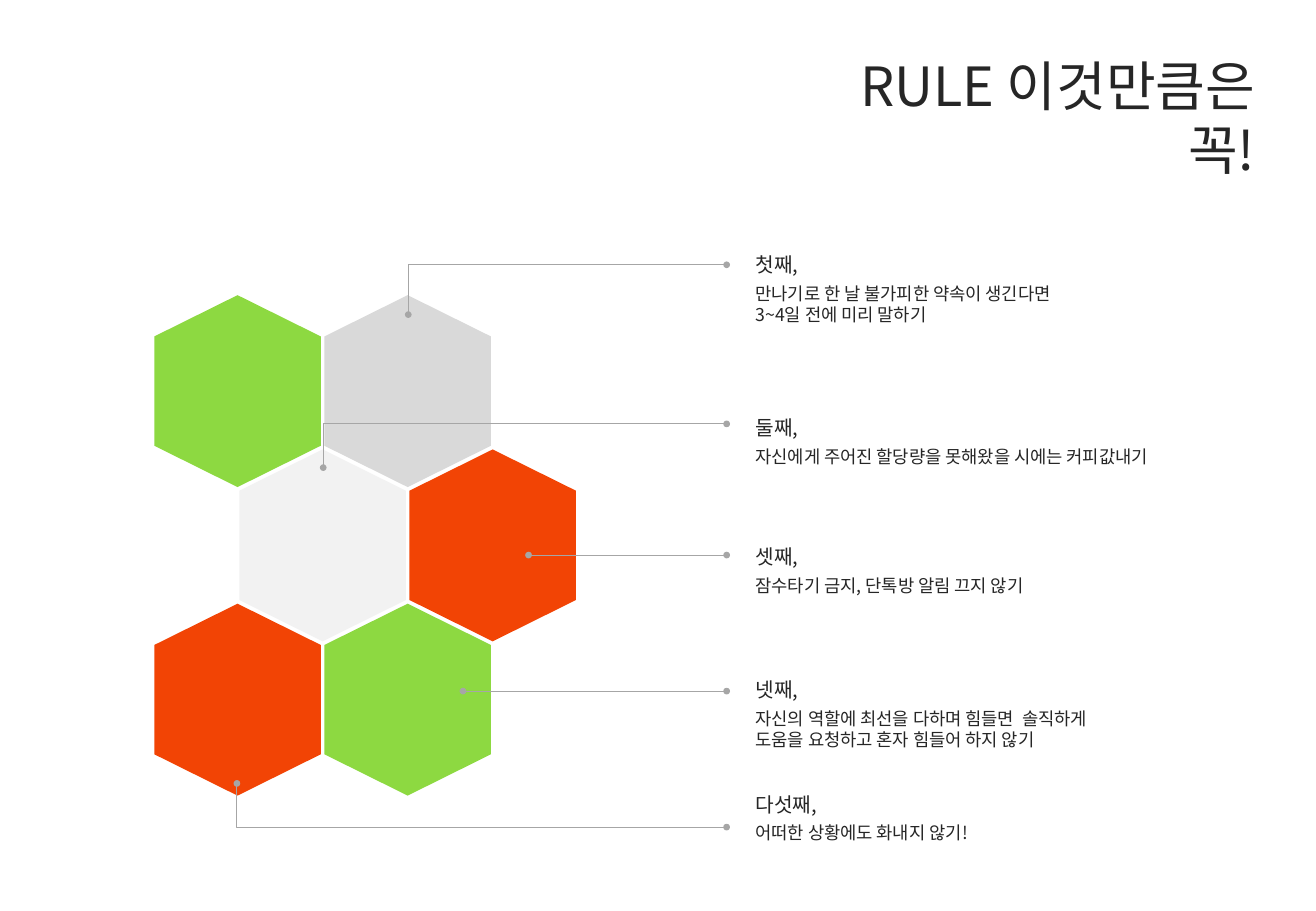
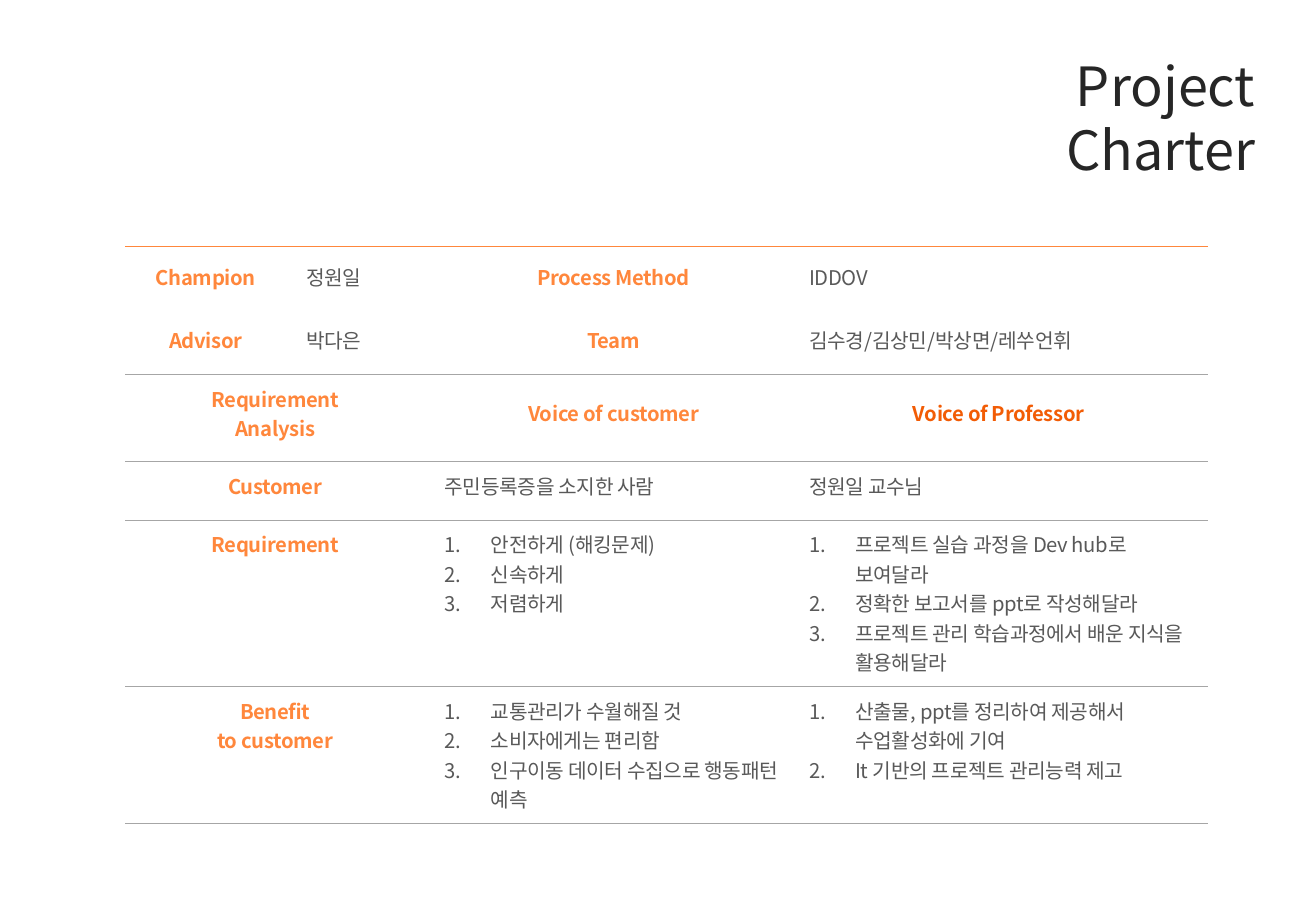
from lxml import etree
from pptx import Presentation
from pptx.dml.color import RGBColor
from pptx.enum.shapes import MSO_CONNECTOR
from pptx.enum.text import MSO_AUTO_SIZE, PP_ALIGN
from pptx.oxml.ns import qn
from pptx.util import Inches, Pt

FONT = "Noto Sans CJK KR"
INK = RGBColor(0x26, 0x26, 0x26)
GRAY_TEXT = RGBColor(0x59, 0x59, 0x59)
RULE_GRAY = RGBColor(0xA6, 0xA6, 0xA6)
SILVER = RGBColor(0xD9, 0xD9, 0xD9)
PALE = RGBColor(0xF2, 0xF2, 0xF2)
GREEN = RGBColor(0x8D, 0xD9, 0x41)
RED = RGBColor(0xF2, 0x44, 0x05)
ORANGE = RGBColor(0xFF, 0x87, 0x3C)
DEEP_ORANGE = RGBColor(0xF2, 0x5C, 0x05)
WHITE = RGBColor(0xFF, 0xFF, 0xFF)

TITLE_RIGHT = 10.43

# column, row, colour
HEXAGONS = [(1, 0, SILVER), (0, 0, GREEN), (0, 1, PALE),
            (1, 1, RED), (1, 2, GREEN), (0, 2, RED)]

# heading, lines, top of the text, points of the leader
RULES = [
    ("첫째,", ["만나기로 한 날 불가피한 약속이 생긴다면", "3~4일 전에 미리 말하기"],
     2.03, [(3.36, 2.59), (3.36, 2.18), (5.98, 2.18)]),
    ("둘째,", ["자신에게 주어진 할당량을 못해왔을 시에는 커피값내기"],
     3.37, [(2.66, 3.85), (2.66, 3.49), (5.98, 3.49)]),
    ("셋째,", ["잠수타기 금지, 단톡방 알림 끄지 않기"],
     4.43, [(4.35, 4.57), (5.98, 4.57)]),
    ("넷째,", ["자신의 역할에 최선을 다하며 힘들면  솔직하게",
             "도움을 요청하고 혼자 힘들어 하지 않기"],
     5.53, [(3.81, 5.69), (5.98, 5.69)]),
    ("다섯째,", ["어떠한 상황에도 화내지 않기!"],
     6.47, [(1.95, 6.45), (1.95, 6.81), (5.98, 6.81)]),
]

COLUMNS = [1.43, 1.14, 3, 3.34]
ROWS = [0.57, 0.48, 0.72, 0.48, 1.37, 1.13]
# each cell: kind and its paragraphs; None is covered by the cell on its left
CHARTER = [
    [("label", ["Champion"]), ("text", ["정원일"]),
     ("label", ["Process Method"]), ("text", ["IDDOV"])],
    [("label", ["Advisor"]), ("text", ["박다은"]),
     ("label", ["Team"]), ("text", ["김수경/김상민/박상면/레쑤언휘"])],
    [("label", ["Requirement", "Analysis"]), None,
     ("voice", ["Voice of customer"]), ("professor", ["Voice of Professor"])],
    [("label", ["Customer"]), None,
     ("text", ["주민등록증을 소지한 사람"]), ("text", ["정원일 교수님"])],
    [("label", ["Requirement"]), None,
     ("list", ["안전하게 (해킹문제)", "신속하게", "저렴하게"]),
     ("list", ["프로젝트 실습 과정을 Dev hub로 보여달라",
               "정확한 보고서를 ppt로 작성해달라",
               "프로젝트 관리 학습과정에서 배운 지식을 활용해달라"])],
    [("label", ["Benefit", "to customer"]), None,
     ("list", ["교통관리가 수월해질 것", "소비자에게는 편리함",
               "인구이동 데이터 수집으로 행동패턴 예측"]),
     ("list", ["산출물, ppt를 정리하여 제공해서 수업활성화에 기여",
               "It 기반의 프로젝트 관리능력 제고"])],
]
CELL_COLORS = {"label": ORANGE, "voice": ORANGE, "professor": DEEP_ORANGE}


def add_span(para, text, size, color, bold=False):
    span = para.add_run()
    span.text = text
    span.font.size = Pt(size)
    span.font.bold = bold
    span.font.color.rgb = color
    span.font.name = FONT
    east_asian = etree.SubElement(span.font._element, qn("a:ea"))
    east_asian.set("typeface", FONT)
    return span


def paragraphs(frame, lines):
    """Yield a paragraph of the frame for each line, with the line."""
    for index, line in enumerate(lines):
        yield (frame.add_paragraph() if index else frame.paragraphs[0]), line


def add_text(page, left, top, width, height, lines, size, align=PP_ALIGN.LEFT):
    box = page.shapes.add_textbox(Inches(left), Inches(top),
                                  Inches(width), Inches(height))
    frame = box.text_frame
    frame.word_wrap = True
    frame.auto_size = MSO_AUTO_SIZE.SHAPE_TO_FIT_TEXT
    for para, line in paragraphs(frame, lines):
        para.alignment = align
        add_span(para, line, size, INK)


def add_page(deck, title, title_width):
    page = deck.slides.add_slide(deck.slide_layouts[6])
    add_text(page, TITLE_RIGHT - title_width, 0.38, title_width, 1.17,
             [title], 32, PP_ALIGN.RIGHT)
    return page


def add_path(page, points, close):
    corners = [(Inches(x), Inches(y)) for x, y in points]
    builder = page.shapes.build_freeform(*corners[0], scale=1.0)
    builder.add_line_segments(corners[1:], close=close)
    shape = builder.convert_to_shape()
    shape.shadow.inherit = False
    return shape


def add_hexagon(page, left, top, width, height, color):
    upper, lower = top + 0.34, top + height - 0.34
    middle, right = left + width / 2, left + width
    hexagon = add_path(page, [(middle, top), (right, upper), (right, lower),
                              (middle, top + height), (left, lower),
                              (left, upper)], True)
    hexagon.fill.solid()
    hexagon.fill.fore_color.rgb = color
    hexagon.line.fill.background()


def add_honeycomb(page, left, top):
    for column, row, color in HEXAGONS:
        add_hexagon(page, left + 1.4 * column + 0.7 * (row % 2),
                    top + 1.27 * row, 1.37, 1.58, color)


def add_leader(page, points):
    """Draw a thin line with a small dot at both ends."""
    if len(points) == 2:
        ends = [Inches(value) for point in points for value in point]
        leader = page.shapes.add_connector(MSO_CONNECTOR.STRAIGHT, *ends)
    else:
        leader = add_path(page, points, False)
        leader.fill.background()
    leader.line.color.rgb = RULE_GRAY
    leader.line.width = Pt(0.5)
    properties = leader.element.spPr
    outline = properties.find(qn("a:ln"))
    for end in ("a:headEnd", "a:tailEnd"):
        dot = etree.SubElement(outline, qn(end))
        dot.set("type", "oval")
        dot.set("w", "sm")
        dot.set("len", "sm")
    if properties.find(qn("a:effectLst")) is None:
        etree.SubElement(properties, qn("a:effectLst"))


def add_rule(page, left, top, heading, lines):
    add_text(page, left, top + 0.25, 3.78, 0.11 + 0.17 * len(lines), lines, 10.5)
    add_text(page, left, top, 0.8, 0.3, [heading], 12)


def set_border(cell, side, color=None, width=0.25):
    border = etree.SubElement(cell._tc.get_or_add_tcPr(), qn("a:ln" + side))
    if color is None:
        border.set("w", "0")
        etree.SubElement(border, qn("a:noFill"))
        return
    border.set("w", str(Pt(width)))
    fill = etree.SubElement(border, qn("a:solidFill"))
    etree.SubElement(fill, qn("a:srgbClr")).set("val", str(color))


def set_borders(cell, row):
    set_border(cell, "L")
    set_border(cell, "R")
    if row == 0:
        set_border(cell, "T", ORANGE, 1)
    else:
        set_border(cell, "T", WHITE if row == 1 else RULE_GRAY)
    set_border(cell, "B", WHITE if row == 0 else RULE_GRAY)


def number_paragraph(para):
    properties = para._p.get_or_add_pPr()
    properties.set("marL", str(Inches(0.38)))
    properties.set("indent", str(-Inches(0.38)))
    etree.SubElement(properties, qn("a:buFont")).set("typeface", "+mj-lt")
    etree.SubElement(properties, qn("a:buAutoNum")).set("type", "arabicPeriod")


def fill_cell(cell, kind, lines):
    is_label = kind in CELL_COLORS
    for para, line in paragraphs(cell.text_frame, lines):
        para.alignment = PP_ALIGN.CENTER if is_label else PP_ALIGN.LEFT
        if kind in ("voice", "professor"):
            para.line_spacing = 1.5
        if kind == "list":
            number_paragraph(para)
        span = add_span(para, line, 12, CELL_COLORS.get(kind, GRAY_TEXT), is_label)
        span.font._element.set("spc", "-20")


def add_charter(page, left, top):
    frame = page.shapes.add_table(len(ROWS), len(COLUMNS), Inches(left), Inches(top),
                                  Inches(sum(COLUMNS)), Inches(sum(ROWS)))
    table = frame.table
    table.first_row = table.horz_banding = False
    for column, width in zip(table.columns, COLUMNS):
        column.width = Inches(width)
    for row, height in zip(table.rows, ROWS):
        row.height = Inches(height)
    for row, contents in enumerate(CHARTER):
        for column, content in enumerate(contents):
            cell = table.cell(row, column)
            cell.margin_left, cell.margin_right = Inches(0.06), Inches(0.16)
            cell.margin_top = Inches(0.08 if row else 0.13)
            cell.margin_bottom = Inches(0.08)
            set_borders(cell, row)
            cell.fill.background()
            if content is None:
                table.cell(row, column - 1).merge(cell)
            else:
                fill_cell(cell, *content)


def build_rules_page(deck):
    page = add_page(deck, "RULE 이것만큼은 꼭!", 3.8)
    add_honeycomb(page, 1.27, 2.43)
    for heading, lines, top, points in RULES:
        add_leader(page, points)
        add_rule(page, 6.12, top, heading, lines)


def build_charter_page(deck):
    page = add_page(deck, "Project Charter", 3.1)
    add_charter(page, 1.03, 2.03)


def main():
    deck = Presentation()
    deck.slide_width, deck.slide_height = Inches(10.83), Inches(7.5)
    build_rules_page(deck)
    build_charter_page(deck)
    deck.save("out.pptx")


if __name__ == "__main__":
    main()
